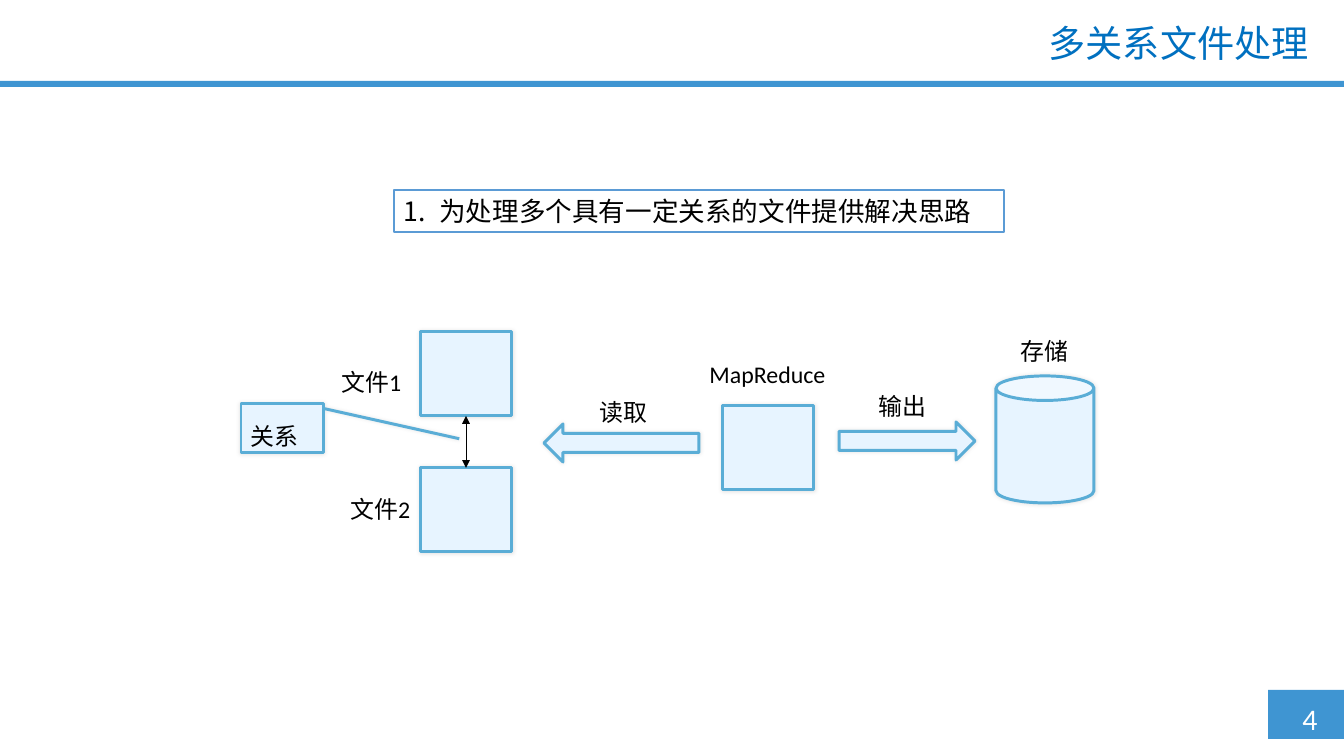
from pptx import Presentation
from pptx.dml.color import RGBColor
from pptx.enum.shapes import MSO_CONNECTOR, MSO_SHAPE
from pptx.enum.text import MSO_ANCHOR, PP_ALIGN
from pptx.oxml import parse_xml
from pptx.oxml.ns import nsdecls
from pptx.util import Pt

PX = 9565  # EMU per px
HUES = {"bar": "3F95D2", "pale": "E7F4FF", "edge": "5AADD6", "frame": "5B9BD5",
        "title": "0070C0", "black": "000000", "white": "FFFFFF"}
CJK = "Noto Sans CJK SC"

deck = Presentation()
deck.slide_width, deck.slide_height = 1344 * PX, 756 * PX
slide = deck.slides.add_slide(deck.slide_layouts[6])


def draw(kind, box, fill="pale", edge="edge", width=2.25):
    shape = slide.shapes.add_shape(kind, *[n * PX for n in box])
    shape.shadow.inherit = False
    shape.fill.solid()
    shape.fill.fore_color.rgb = RGBColor.from_string(HUES[fill])
    if edge:
        shape.line.color.rgb = RGBColor.from_string(HUES[edge])
        shape.line.width = Pt(width)
    else:
        shape.line.fill.background()
    if fill == "pale":
        glow = shape._element.spPr.find(
            "{http://schemas.openxmlformats.org/drawingml/2006/main}effectLst")
        glow.append(parse_xml(
            f'<a:outerShdw {nsdecls("a")} blurRad="38100" dist="0" dir="0">'
            '<a:srgbClr val="000000"><a:alpha val="10000"/></a:srgbClr></a:outerShdw>'))
    return shape


def write(shape, text, size=18, hue="black", font="Calibri", align=PP_ALIGN.LEFT,
          anchor=MSO_ANCHOR.TOP):
    frame = shape.text_frame
    frame.word_wrap = True
    frame.vertical_anchor = anchor
    para = frame.paragraphs[0]
    para.alignment = align
    run = para.add_run()
    run.text = text
    run.font.size = Pt(size)
    run.font.name = font
    run.font.color.rgb = RGBColor.from_string(HUES[hue])
    run._r.get_or_add_rPr().find(
        "{http://schemas.openxmlformats.org/drawingml/2006/main}latin").addnext(
        parse_xml(f'<a:ea {nsdecls("a")} typeface="{CJK}"/>'))
    return para


# Header rule and page number
draw(MSO_SHAPE.RECTANGLE, (1268, 690, 76, 49), "bar", None)
draw(MSO_SHAPE.RECTANGLE, (0, 81, 1344, 6), "bar", None)
page = slide.shapes.add_textbox(1293 * PX, 696 * PX, 51 * PX, 46 * PX)
write(page, "4", 22.5, "white")

# Title
title = slide.shapes.add_textbox(792 * PX, 21 * PX, 526 * PX, 54 * PX)
para = write(title, "多关系文件处理", 28, "title", CJK, PP_ALIGN.RIGHT)
para.line_spacing = 0.9

# Numbered point
point = draw(MSO_SHAPE.RECTANGLE, (394, 190, 610, 42), "white", "frame", 1)
para = write(point, "为处理多个具有一定关系的文件提供解决思路", 20, font=CJK)
props = para._p.get_or_add_pPr()
props.set("marL", str(36 * PX))
props.set("indent", str(-36 * PX))
props.append(parse_xml(f'<a:buFont {nsdecls("a")} typeface="Calibri"/>'))
props.append(parse_xml(f'<a:buAutoNum {nsdecls("a")} type="arabicPeriod"/>'))

# Two files and the MapReduce step
for left, top in ((421, 332), (421, 468), (723, 406)):
    draw(MSO_SHAPE.RECTANGLE, (left, top, 91, 84))

# Link between the files
link = slide.shapes.add_connector(
    MSO_CONNECTOR.STRAIGHT, 466 * PX, 416 * PX, 466 * PX, 468 * PX)
link.line.color.rgb = RGBColor.from_string(HUES["black"])
link.line.width = Pt(0.75)
for end in ("headEnd", "tailEnd"):
    link.line._get_or_add_ln().append(
        parse_xml(f'<a:{end} {nsdecls("a")} type="triangle"/>'))
link._element.spPr.append(parse_xml(f'<a:effectLst {nsdecls("a")}/>'))

# Labels
for text, left, top, width in (
        ("文件1", 332, 363, 79), ("文件2", 341, 490, 79),
        ("MapReduce", 700, 355, 145), ("读取", 590, 393, 76),
        ("输出", 869, 387, 76), ("存储", 1011, 332, 76)):
    label = slide.shapes.add_textbox(left * PX, top * PX, width * PX, 38 * PX)
    write(label, text)

# Relation callout
note = draw(MSO_SHAPE.LINE_CALLOUT_1, (241, 404, 83, 49))
for i, part in enumerate((0.09, 0.99, 0.71, 2.63)):
    note.adjustments[i] = part
para = write(note, "关系", anchor=MSO_ANCHOR.MIDDLE)
para.line_spacing = 1.5

# Flow arrows and store
draw(MSO_SHAPE.RIGHT_ARROW, (839, 422, 136, 38))
draw(MSO_SHAPE.LEFT_ARROW, (544, 424, 155, 38))
draw(MSO_SHAPE.CAN, (996, 376, 98, 127))

deck.save("out.pptx")
